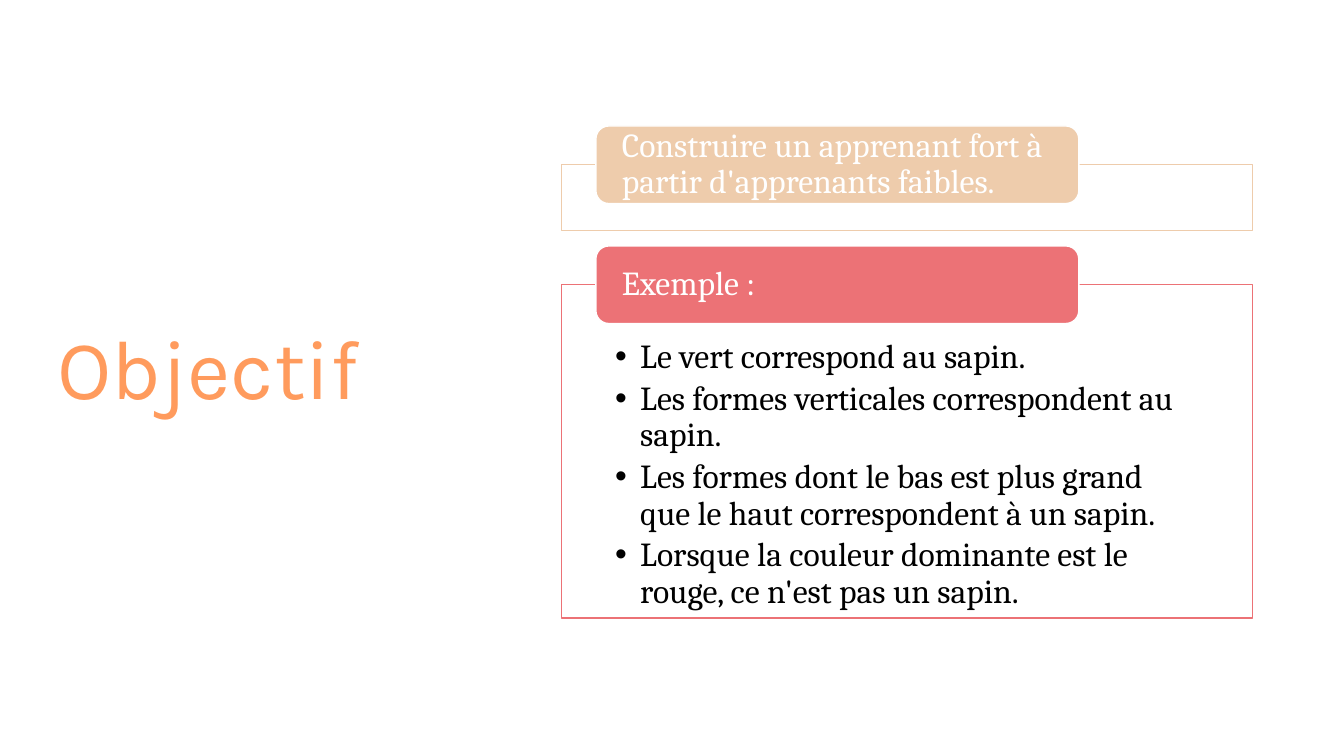
from lxml import etree
from pptx import Presentation
from pptx import util as u
from pptx.dml.color import RGBColor
from pptx.enum import shapes, text
from pptx.oxml import ns

COLOURS = {
    "title": "FF9B5D",
    "goal": "EECCAC",
    "example": "EC7276",
    "white": "FFFFFF",
    "black": "000000",
}
GOAL = "Construire un apprenant fort à partir d'apprenants faibles."
EXAMPLE_RULES = [
    "Le vert correspond au sapin.",
    "Les formes verticales correspondent au sapin.",
    "Les formes dont le bas est plus grand que le haut correspondent à un sapin.",
    "Lorsque la couleur dominante est le rouge, ce n'est pas un sapin.",
]
# heading, colour, panel top, panel height, rules
SECTIONS = [
    (GOAL, "goal", 1.63, 0.66, []),
    ("Exemple :", "example", 2.82, 3.31, EXAMPLE_RULES),
]


def colour(name):
    return RGBColor.from_string(COLOURS[name])


def add_bullet(paragraph, indent=0.25):
    """Give the paragraph a round bullet with a hanging indent."""
    properties = paragraph._p.get_or_add_pPr()
    properties.set("marL", str(u.Inches(indent)))
    properties.set("indent", str(-u.Inches(indent)))
    etree.SubElement(properties, ns.qn("a:buFont")).set("typeface", "Arial")
    etree.SubElement(properties, ns.qn("a:buChar")).set("char", "•")


def write(frame, lines, *, font="Cambria", size=24, ink="black", insets=(0, 0, 0, 0),
          anchor=text.MSO_ANCHOR.MIDDLE, bullets=False, space_after=0):
    """Fill a text frame; insets run left, top, right, bottom in inches."""
    frame.word_wrap = True
    frame.auto_size = text.MSO_AUTO_SIZE.NONE
    frame.vertical_anchor = anchor
    (frame.margin_left, frame.margin_top,
     frame.margin_right, frame.margin_bottom) = map(u.Inches, insets)
    for number, line in enumerate(lines):
        paragraph = frame.add_paragraph() if number else frame.paragraphs[0]
        paragraph.alignment = text.PP_ALIGN.LEFT
        paragraph.line_spacing = 0.9
        paragraph.space_before = u.Pt(0)
        paragraph.space_after = u.Pt(space_after)
        if bullets:
            add_bullet(paragraph)
        run = paragraph.add_run()
        run.text = line
        run.font.name = font
        run.font.size = u.Pt(size)
        run.font.color.rgb = colour(ink)


class SlideBuilder:
    panel_left, panel_width = 5.57, 6.85
    tab_left, tab_width, tab_height = 5.91, 4.79, 0.77
    tab_rise = 0.38

    def __init__(self, deck):
        self.slide = deck.slides.add_slide(deck.slide_layouts[5])

    def title(self, wording):
        placeholder = self.slide.shapes.title
        placeholder.left, placeholder.top = u.Inches(0.57), u.Inches(0.68)
        placeholder.width, placeholder.height = u.Inches(4.16), u.Inches(6.02)
        write(placeholder.text_frame, [wording], font="Karla", size=60, ink="title")

    def box(self, preset, left, top, width, height, fill, line):
        shape = self.slide.shapes.add_shape(
            preset, *map(u.Inches, (left, top, width, height)))
        shape.shadow.inherit = False
        shape.fill.solid()
        shape.fill.fore_color.rgb = colour(fill)
        shape.line.color.rgb = colour(line)
        shape.line.width = u.Pt(1)
        return shape

    def panel(self, top, height, accent, rules):
        panel = self.box(shapes.MSO_SHAPE.RECTANGLE, self.panel_left, top,
                         self.panel_width, height, "white", accent)
        fill_colour = panel.fill._xPr.find(".//" + ns.qn("a:srgbClr"))
        etree.SubElement(fill_colour, ns.qn("a:alpha")).set("val", "90000")
        if rules:
            write(panel.text_frame, rules, insets=(0.53, 0.55, 0.53, 0.19),
                  anchor=text.MSO_ANCHOR.TOP, bullets=True, space_after=4)

    def tab(self, panel_top, accent, heading):
        tab = self.box(shapes.MSO_SHAPE.ROUNDED_RECTANGLE, self.tab_left,
                       panel_top - self.tab_rise, self.tab_width, self.tab_height,
                       accent, "white")
        write(tab.text_frame, [heading], ink="white", insets=(0.22, 0, 0.22, 0))


def main():
    deck = Presentation()
    deck.slide_width, deck.slide_height = u.Inches(13.33), u.Inches(7.5)
    builder = SlideBuilder(deck)
    builder.title("Objectif")
    for heading, accent, top, height, rules in SECTIONS:
        builder.panel(top, height, accent, rules)
        builder.tab(top, accent, heading)
    deck.save("out.pptx")


if __name__ == "__main__":
    main()
